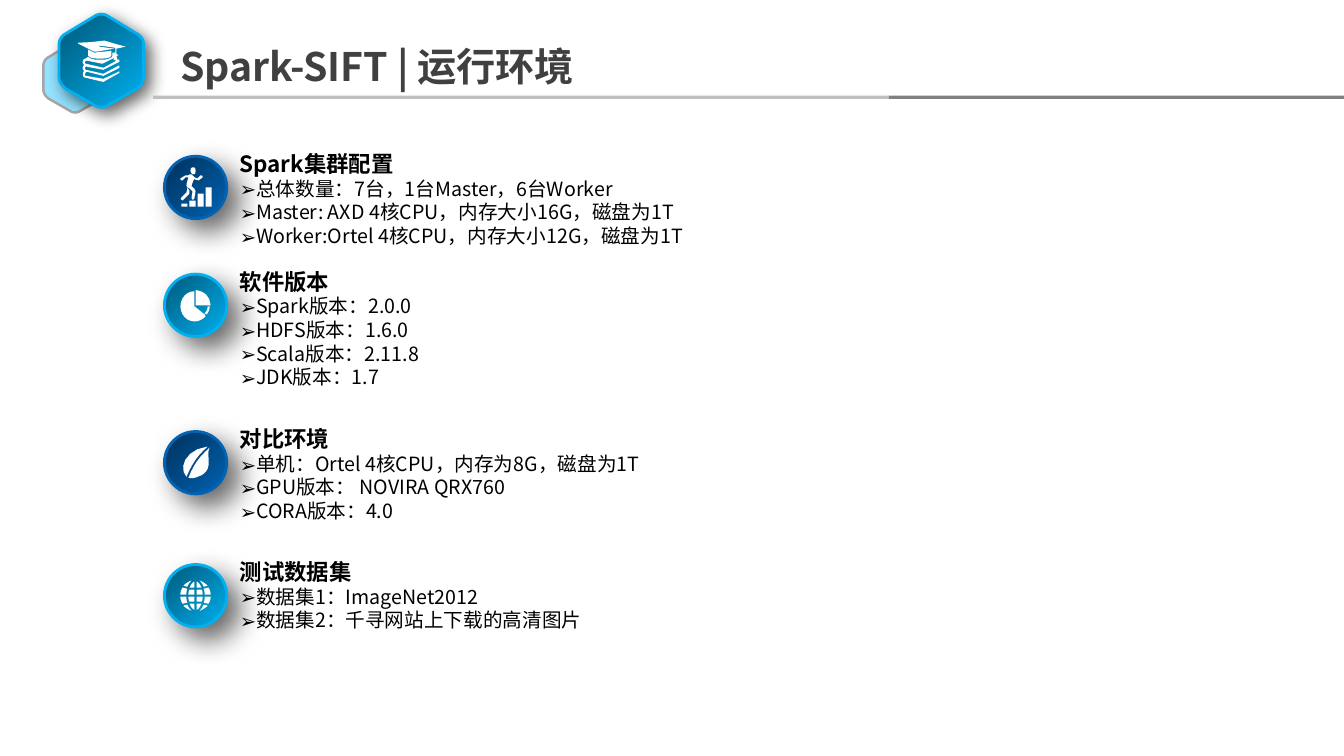
from lxml.etree import SubElement
from pptx import Presentation
from pptx.dml.color import RGBColor
from pptx.enum.shapes import MSO_SHAPE
from pptx.enum.text import MSO_ANCHOR, MSO_AUTO_SIZE, PP_ALIGN
from pptx.oxml.ns import qn
from pptx.util import Pt

FONT = "Noto Sans CJK SC"
UNIT = 0.72  # points per step of the icon grid
COLORS = {
    "white": "FFFFFF", "black": "000000", "title": "404040",
    "rule_light": "BFBFBF", "rule_dark": "808080",
    "pale": "93E2FF", "pale_edge": "A6A6A6",
}
GRADIENTS = {"navy": ("0063B4", "00315A"), "cyan": ("00B0F0", "005878")}

# Outlines on the icon grid, around the centre of the badge
HEXAGON = ["M 7 -44 L 35 -27 C 39 -25 42 -21 42 -16 L 42 16 C 42 21 39 25 35 28 L 7 44 "
           "C 3 47 -3 47 -7 44 L -35 28 C -39 25 -42 21 -42 16 L -42 -16 "
           "C -42 -21 -39 -25 -35 -27 L -7 -44 C -3 -47 3 -47 7 -44"]
BAR_TOPS = [16, 13, 6, 0]
RUNNER = [
    "M -2 -13 C 0 -13 0 -15 0 -17 C 0 -19 -1 -20 -2 -20 C -4 -20 -5 -19 -5 -17 C -5 -14 -3 -13 -2 -13",
    "M -4 -1 C -3 -6 -1 -9 -1 -9 C -1 -11 -2 -11 -2 -11 L -4 -13 L -6 -13 C -7 -12 -8 -12 -10 -12 "
    "L -15 -9 C -15 -8 -15 -7 -13 -7 L -10 -10 L -7 -10 C -8 -7 -9 -4 -9 -2 C -9 -1 -8 0 -6 1 "
    "L -3 4 L -4 10 C -4 11 -4 11 -3 12 C -2 12 -1 11 -1 10 L 0 4 C 0 2 -3 -1 -4 -1",
    "M 3 -7 L 7 -10 C 7 -12 6 -12 5 -12 L 2 -9 L -1 -10 L -1 -8",
    "M -7 2 L -8 0 L -9 5 L -14 10 C -15 11 -15 12 -14 12 C -13 13 -12 13 -12 12 L -6 6 L -6 3",
] + [f"M {x} {top} L {x + 6} {top} L {x + 6} 19 L {x} 19"
     for x, top in zip(range(-14, 11, 8), BAR_TOPS)]
PIE = [
    "M -1 1 L -1 -14 C -9 -14 -15 -7 -15 1 C -15 9 -9 16 -1 16 C 3 16 7 14 10 11 L 9 9",
    "M 0 0 L 15 0 C 14 -15 0 -15 0 -15",
    "M 9 8 L 11 9 C 13 7 14 4 14 1 L 12 1 C 12 4 11 6 9 8",
]
LEAF = [
    "M -7 15 C -4 16 0 15 2 14 C 9 12 14 7 13 -2 C 13 -7 12 -11 14 -15 C 3 -5 -2 2 -7 15",
    "M -9 14 C -17 6 -11 -13 12 -16 C 2 -7 -3 0 -9 14",
]
GLOBE_QUARTER = [
    "M 1 -14 L 1 -8 L 6 -8 C 5 -9 5 -10 5 -10 C 4 -12 2 -14 1 -14",
    "M 1 -1 L 7 -1 C 7 -3 7 -5 6 -6 L 1 -6",
    "M 8 -7 C 9 -5 9 -3 9 -1 L 15 -1 C 15 -4 14 -6 13 -8 C 11 -8 10 -7 8 -7",
    "M 7 -11 L 8 -9 C 9 -9 10 -9 12 -10 C 10 -12 7 -14 4 -15 C 5 -14 6 -13 7 -11",
]
BOOKS_AND_CAP = [
    "M 2 15 L 18 7 C 18 6 18 4 17 5 L 2 13 L -15 9 C -16 9 -17 8 -16 7 C -16 6 -15 5 -14 6 "
    "L 2 9 L 18 1 L 18 -1 L 16 -1 L 15 -5 L 17 -5 L 15 -7 L 15 -12 L 24 -14 "
    "C 16 -16 10 -18 3 -20 C -5 -19 -14 -18 -23 -18 L -23 -17 C -17 -14 -11 -11 -7 -9 "
    "L -5 -9 L 13 -12 L -2 -14 L -2 -15 L 13 -13 L 14 -12 L 14 -8 L 11 -8 L 11 -5 "
    "C 11 -3 8 -2 3 -1 L -6 -1 C -9 -2 -12 -2 -13 -4 L -16 -2 C -18 -2 -20 2 -17 4 "
    "C -19 6 -19 9 -17 10 C -19 12 -19 17 -15 17 L 2 21 L 18 12 C 18 11 18 10 17 11 "
    "L 2 18 L -15 15 C -16 15 -17 14 -16 13 C -16 12 -15 11 -14 11",
    "M 10 -10 L 10 -5 C 10 -1 -13 -1 -13 -5 L -13 -11 L -7 -8 C 0 -9 5 -9 10 -10",
    "M 15 0 L 2 7 L -15 3 C -16 3 -17 2 -16 1 C -16 0 -15 0 -14 0 L 1 3 L 13 -3 L 12 -1",
]

# top, gradient, icon, mirrored icon, heading, lines
SECTIONS = [
    (103.7, "navy", RUNNER, False, "Spark集群配置",
     ["总体数量：7台，1台Master，6台Worker", "Master: AXD 4核CPU，内存大小16G，磁盘为1T",
      "Worker:Ortel 4核CPU，内存大小12G，磁盘为1T"]),
    (187.9, "cyan", PIE, False, "软件版本",
     ["Spark版本：2.0.0", "HDFS版本：1.6.0", "Scala版本：2.11.8", "JDK版本：1.7"]),
    (300.3, "navy", LEAF, False, "对比环境",
     ["单机：Ortel 4核CPU，内存为8G，磁盘为1T", "GPU版本： NOVIRA QRX760", "CORA版本：4.0"]),
    (395.3, "cyan", GLOBE_QUARTER, True, "测试数据集",
     ["数据集1：ImageNet2012", "数据集2：千寻网站上下载的高清图片"]),
]


def rgb(value):
    return RGBColor.from_string(value)


def trace(outline, steps=6):
    """Turn a path of M, L and C commands into a list of points."""
    points, tokens = [], outline.split()
    while tokens:
        count = 6 if tokens.pop(0) == "C" else 2
        values = [float(token) for token in tokens[:count]]
        del tokens[:count]
        ends = list(zip(values[::2], values[1::2]))
        if count == 2:
            points += ends
            continue
        a, b, c, d = points[-1], *ends
        for t in (step / steps for step in range(1, steps + 1)):
            s = 1 - t
            points.append(tuple(s**3 * a[i] + 3 * s * s * t * b[i] + 3 * s * t * t * c[i] + t**3 * d[i]
                                for i in (0, 1)))
    return points


def add_outline(page, center, outlines, mirrored=False, scale=1.0):
    flips = [(1, 1), (-1, 1), (1, -1), (-1, -1)] if mirrored else [(1, 1)]
    contours = [[(Pt(center[0] + x * fx * UNIT * scale), Pt(center[1] + y * fy * UNIT * scale))
                 for x, y in trace(outline)] for fx, fy in flips for outline in outlines]
    builder = page.shapes.build_freeform(*contours[0][0], scale=1.0)
    for number, contour in enumerate(contours):
        if number:
            builder.move_to(*contour[0])
        builder.add_line_segments(contour[1:], close=True)
    return builder.convert_to_shape()


def paint(shape, fill, edge=None, width=2):
    shape.shadow.inherit = False
    shape.fill.solid()
    shape.fill.fore_color.rgb = rgb(fill)
    if edge:
        shape.line.color.rgb = rgb(edge)
        shape.line.width = Pt(width)
    else:
        shape.line.fill.background()


def paint_badge(shape, colors, blur, distance):
    paint(shape, colors[0], colors[0])
    shape.fill.gradient()
    shape.fill.gradient_angle = 135
    for stop, position, color in zip(shape.fill.gradient_stops, (0, 1), colors):
        stop.position = position
        stop.color.rgb = rgb(color)
    effects = shape._element.spPr.find(qn("a:effectLst"))
    shadow = SubElement(effects, qn("a:outerShdw"), blurRad=str(Pt(blur)), dist=str(Pt(distance)),
                        dir="2700000", algn="tl", rotWithShape="0")
    color = SubElement(shadow, qn("a:srgbClr"), val=COLORS["black"])
    SubElement(color, qn("a:alpha"), val="60000")


def add_span(para, text, size, color, bold=False):
    span = para.add_run()
    span.text = text
    span.font.size, span.font.bold, span.font.name = Pt(size), bold, FONT
    span.font.color.rgb = rgb(color)
    SubElement(span.font._element, qn("a:ea"), typeface=FONT)


def add_box(page, left, top, width, height):
    box = page.shapes.add_textbox(Pt(left), Pt(top), Pt(width), Pt(height))
    box.text_frame.word_wrap = True
    return box.text_frame


def add_header(page, left, top):
    # Hexagon badge
    paint(add_outline(page, (left + 22.7, top + 45.4), HEXAGON, scale=0.75),
          COLORS["pale"], COLORS["pale_edge"], 1.75)
    center = (left + 41.4, top + 33.4)
    paint_badge(add_outline(page, center, HEXAGON), GRADIENTS["cyan"], 12, 6)
    paint(add_outline(page, center, BOOKS_AND_CAP), COLORS["white"])
    # Title
    title = page.shapes.title
    title.left, title.top, title.width, title.height = Pt(left + 90.7), Pt(top + 16.6), Pt(307.4), Pt(41)
    frame = title.text_frame
    frame.word_wrap, frame.auto_size = True, MSO_AUTO_SIZE.NONE
    frame.vertical_anchor = MSO_ANCHOR.MIDDLE
    para = frame.paragraphs[0]
    para.alignment = PP_ALIGN.LEFT
    add_span(para, "Spark-SIFT | 运行环境", 28, COLORS["title"], True)
    # Two-tone rule
    for start, end, color in ((109.4, 635, "rule_light"), (635, 960, "rule_dark")):
        rule = page.shapes.add_shape(MSO_SHAPE.RECTANGLE, Pt(start), Pt(top + 58.4), Pt(end - start), Pt(2.2))
        paint(rule, COLORS[color])


def add_section(page, left, top, gradient, icon, mirrored, heading, lines):
    # Round badge with icon
    size = 44.6
    badge = page.shapes.add_shape(MSO_SHAPE.OVAL, Pt(left), Pt(top + 7.9), Pt(size), Pt(size))
    paint_badge(badge, GRADIENTS[gradient], 20, 12)
    paint(add_outline(page, (left + size / 2, top + 7.9 + size / 2), icon, mirrored), COLORS["white"])
    # Heading and bulleted lines
    para = add_box(page, left + 46.8, top, 194.4, 26.6).paragraphs[0]
    para.line_spacing = Pt(19.2)
    add_span(para, heading, 16, COLORS["black"], True)
    frame = add_box(page, left + 46.8, top + 18.7, 355, 7.2 + 16.9 * len(lines))
    for number, line in enumerate(lines):
        para = frame.add_paragraph() if number else frame.paragraphs[0]
        para.line_spacing = Pt(16.9)
        add_span(para, line, 14, COLORS["black"])
        properties = para._p.get_or_add_pPr()
        properties.set("marL", str(Pt(11.4)))
        properties.set("indent", str(-Pt(11.4)))
        SubElement(properties, qn("a:buFont"), typeface=FONT)
        SubElement(properties, qn("a:buChar"), char="➢")


def main():
    deck = Presentation()
    deck.slide_width, deck.slide_height = Pt(960), Pt(540)
    page = deck.slides.add_slide(deck.slide_layouts[5])
    add_header(page, 31, 10)
    for section in SECTIONS:
        add_section(page, 117.4, *section)
    deck.save("out.pptx")


if __name__ == "__main__":
    main()
